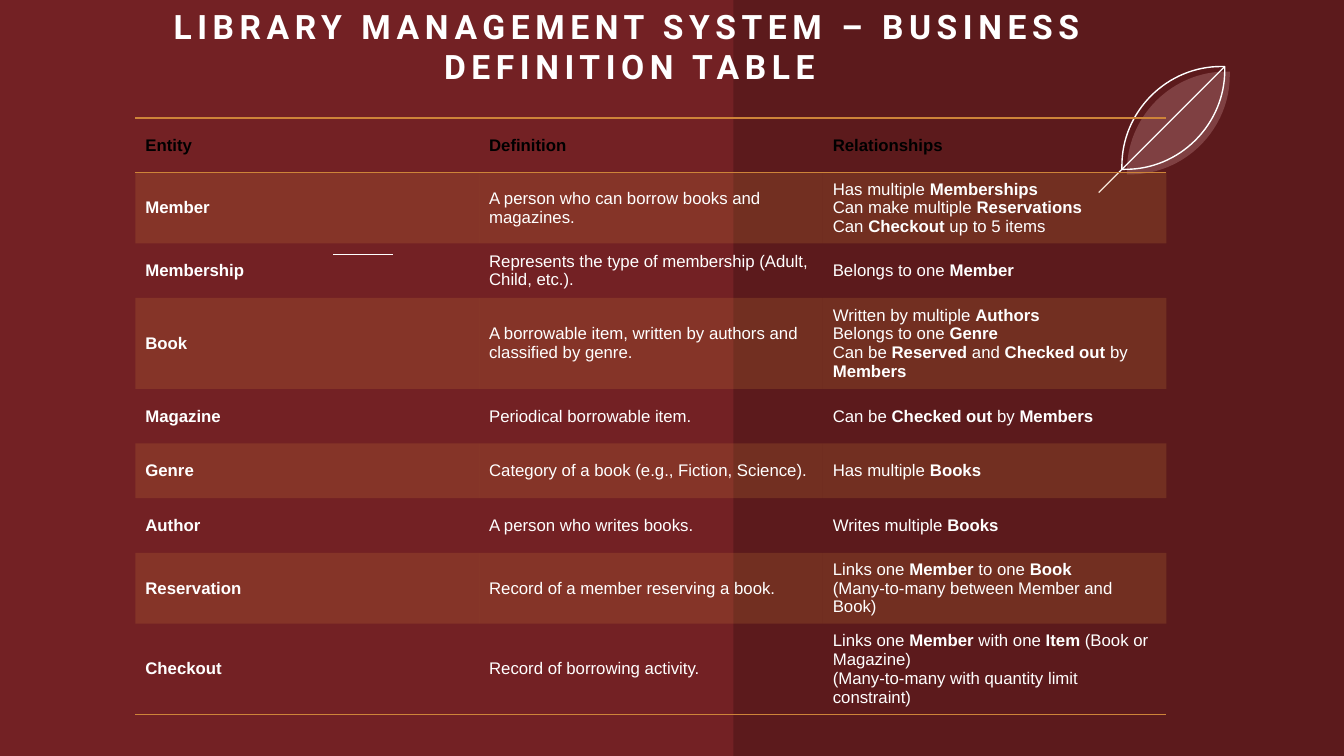
from typing import NamedTuple

from lxml import etree
from pptx import Presentation, util as u
from pptx.dml.color import RGBColor
from pptx.enum import shapes, text
from pptx.oxml.ns import qn

COLS, ROWS = 133.33, 75
WHITE, BLACK, GOLD, WINE, ROSE = "FFFFFF", "000000", "CE8439", "732124", "B4797B"
NO_STYLE = "{2D5ABB26-0587-4C30-8999-92F81FD0307C}"


class Entity(NamedTuple):
    name: str
    definition: str
    relationships: str


class Line(NamedTuple):
    x1: float
    y1: float
    x2: float
    y2: float


HEADER = Entity("**Entity**", "**Definition**", "**Relationships**")
ENTITIES = [
    Entity("**Member**", "A person who can borrow books and magazines.",
           "Has multiple **Memberships**\nCan make multiple **Reservations**\n"
           "Can **Checkout** up to 5 items"),
    Entity("**Membership**", "Represents the type of membership (Adult, Child, etc.).",
           "Belongs to one **Member**"),
    Entity("**Book**", "A borrowable item, written by authors and classified by genre.",
           "Written by multiple **Authors**\nBelongs to one **Genre**\n"
           "Can be **Reserved** and **Checked out** by **Members**"),
    Entity("**Magazine**", "Periodical borrowable item.",
           "Can be **Checked out** by **Members**"),
    Entity("**Genre**", "Category of a book (e.g., Fiction, Science).",
           "Has multiple **Books**"),
    Entity("**Author**", "A person who writes books.", "Writes multiple **Books**"),
    Entity("**Reservation**", "Record of a member reserving a book.",
           "Links one **Member** to one **Book**\n"
           "(Many-to-many between Member and Book)"),
    Entity("**Checkout**", "Record of borrowing activity.",
           "Links one **Member** with one **Item** (Book or Magazine)\n"
           "(Many-to-many with quantity limit constraint)"),
]
DIVIDER = Line(33.05, 25.25, 39, 25.25)
LEAF_STEM = Line(121.5, 6.6, 109, 19.1)
LEAF_CENTRE = (116.4, 11.7)
LEAF_HALF = [
    [(121.1, 6.6)],
    [(118.6, 6.6), (116.1, 7.6), (114.2, 9.5)],
    [(112.3, 11.4), (111.3, 13.9), (111.3, 16.4)],
    [(111.3, 16.8)],
]


def grid(n: float) -> int:
    return u.Inches(n / 10)


def rgb(value: str) -> RGBColor:
    return RGBColor.from_string(value)


def paint(fill, element, color: str, opacity: int = 100) -> None:
    fill.solid()
    fill.fore_color.rgb = rgb(color)
    if opacity < 100:
        for clr in element.iter(qn("a:srgbClr")):
            etree.SubElement(clr, qn("a:alpha")).set("val", str(opacity * 1000))


def write(tf, content: str, size: float = 12, font: str = "Arial", color: str = WHITE,
          align=text.PP_ALIGN.LEFT, spacing: int = 0) -> None:
    tf.word_wrap = True
    p = tf.paragraphs[0]
    p.alignment = align
    for i, part in enumerate(content.split("**")):
        for j, piece in enumerate(part.split("\n")):
            if j:
                p.add_line_break()
            if not piece:
                continue
            r = p.add_run()
            r.text = piece
            r.font.size, r.font.name, r.font.bold = u.Pt(size), font, i % 2 == 1
            r.font.color.rgb = rgb(color)
            if spacing:
                r.font._element.set("spc", str(spacing * 100))
    for br in p._p.iter(qn("a:br")):
        rPr = etree.SubElement(br, qn("a:rPr"), sz=str(size * 100))
        etree.SubElement(rPr, qn("a:latin"), typeface=font)


def draw_line(s, line: Line) -> None:
    cx = s.shapes.add_connector(shapes.MSO_CONNECTOR.STRAIGHT, *map(grid, line))
    cx.line.color.rgb = rgb(WHITE)
    cx.line.width = u.Pt(1)
    etree.SubElement(cx._element.spPr, qn("a:effectLst"))


def draw_leaf(s, shift: float):
    cx, cy = LEAF_CENTRE
    turned = [[(2 * cx - x, 2 * cy - y) for x, y in stroke] for stroke in LEAF_HALF]
    strokes = [[(grid(x + shift), grid(y + shift)) for x, y in stroke]
               for stroke in LEAF_HALF + turned]
    fb = s.shapes.build_freeform(*strokes[-1][-1])
    fb.add_line_segments([stroke[-1] for stroke in strokes], close=True)
    sp = fb.convert_to_shape()
    sp.shadow.inherit = False
    for segment, stroke in zip(list(sp._element.iter(qn("a:lnTo"))), strokes):
        if len(stroke) == 3:
            curve = etree.Element(qn("a:cubicBezTo"))
            for x, y in stroke:
                etree.SubElement(curve, qn("a:pt"), x=str(x - sp.left), y=str(y - sp.top))
            segment.getparent().replace(segment, curve)
    return sp


def rule_cell(cell, *sides: str) -> None:
    tcPr = cell._tc.get_or_add_tcPr()
    for i, side in enumerate(sides):
        ln = etree.Element(qn(f"a:ln{side}"), w=str(u.Pt(1)))
        fill = etree.SubElement(ln, qn("a:solidFill"))
        etree.SubElement(fill, qn("a:srgbClr")).set("val", GOLD)
        tcPr.insert(i, ln)


def draw_table(s) -> None:
    rows = [HEADER, *ENTITIES]
    frame = s.shapes.add_table(len(rows), len(HEADER), grid(13.42), grid(11.7),
                               grid(102.3), grid(5.43 * len(rows)))
    table = frame.table
    table.horz_banding = False
    table._tbl.tblPr.find(qn("a:tableStyleId")).text = NO_STYLE
    for i, entity in enumerate(rows):
        for j, content in enumerate(entity):
            cell = table.cell(i, j)
            cell.vertical_anchor = text.MSO_ANCHOR.MIDDLE
            if i % 2:
                paint(cell.fill, cell._tc, GOLD, 20)
            else:
                cell.fill.background()
            if i == 0:
                rule_cell(cell, "T", "B")
            elif i == len(rows) - 1:
                rule_cell(cell, "B")
            write(cell.text_frame, content, color=WHITE if i else BLACK)


def draw_title(s) -> None:
    tf = s.shapes.add_textbox(*map(grid, (5.6, 3, 113.7, 5.6))).text_frame
    tf.margin_left = tf.margin_right = tf.margin_top = tf.margin_bottom = 0
    tf.vertical_anchor = text.MSO_ANCHOR.BOTTOM
    write(tf, "**LIBRARY MANAGEMENT SYSTEM – BUSINESS DEFINITION TABLE**", size=24,
          font="Roboto", align=text.PP_ALIGN.CENTER, spacing=4)


def main() -> None:
    prs = Presentation()
    prs.slide_width, prs.slide_height = grid(COLS), grid(ROWS)
    s = prs.slides.add_slide(prs.slide_layouts[6])
    s.background.fill.solid()
    s.background.fill.fore_color.rgb = rgb(WINE)

    draw_line(s, DIVIDER)
    panel = s.shapes.add_shape(shapes.MSO_SHAPE.RECTANGLE, grid(72.76), 0,
                               grid(COLS - 72.76), grid(ROWS))
    panel.shadow.inherit = False
    panel.line.fill.background()
    paint(panel.fill, panel._element, BLACK, 20)

    leaf_shade = draw_leaf(s, 0.5)
    leaf_shade.line.fill.background()
    paint(leaf_shade.fill, leaf_shade._element, ROSE, 40)
    leaf = draw_leaf(s, 0)
    leaf.fill.background()
    leaf.line.color.rgb = rgb(WHITE)
    leaf.line.width = u.Pt(1)
    draw_line(s, LEAF_STEM)

    draw_title(s)
    draw_table(s)
    prs.save("out.pptx")


if __name__ == "__main__":
    main()
